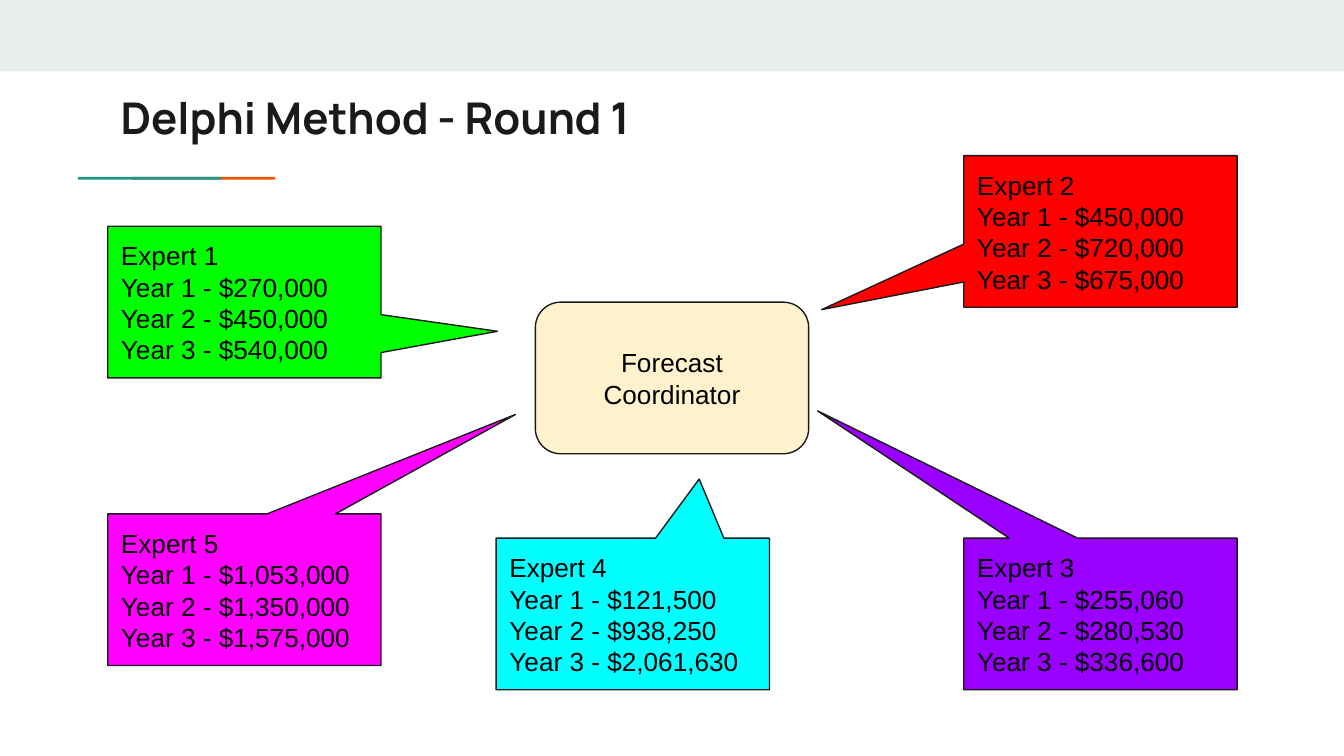
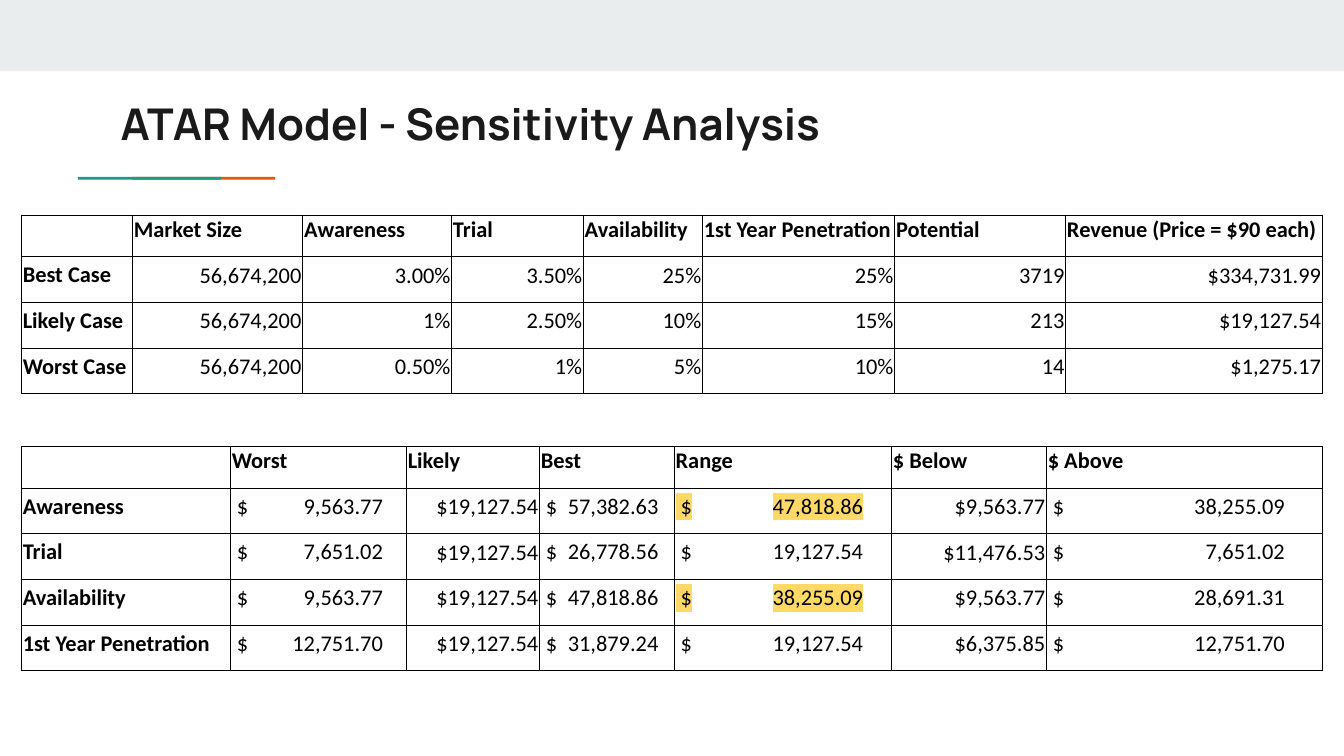
from lxml import etree
from pptx import Presentation
from pptx.dml.color import RGBColor
from pptx.enum.shapes import MSO_SHAPE
from pptx.enum.text import MSO_ANCHOR, PP_ALIGN
from pptx.oxml.ns import qn
from pptx.util import Pt

RECT = MSO_SHAPE.RECTANGLE
ROUND = MSO_SHAPE.ROUNDED_RECTANGLE
CALLOUT = MSO_SHAPE.RECTANGULAR_CALLOUT
TOP, MIDDLE, BOTTOM = MSO_ANCHOR.TOP, MSO_ANCHOR.MIDDLE, MSO_ANCHOR.BOTTOM
LEFT, CENTER, RIGHT = PP_ALIGN.LEFT, PP_ALIGN.CENTER, PP_ALIGN.RIGHT

COLORS = {
    "band": "E9EDEE", "teal": "1A9988", "orange": "EB5600", "ink": "1A1A1A",
    "black": "000000", "cream": "FFF2CC", "red": "FF0000", "violet": "9900FF",
    "cyan": "00FFFF", "green": "00FF00", "pink": "FF00FF", "mark": "FFD966",
}
INSET = 7.2


def add_box(slide, kind, place, fill, line=None):
    box = slide.shapes.add_shape(kind, *[Pt(v) for v in place])
    box.shadow.inherit = False
    box.fill.solid()
    box.fill.fore_color.rgb = RGBColor.from_string(COLORS[fill])
    if line:
        box.line.color.rgb = RGBColor.from_string(COLORS[line])
        box.line.width = Pt(0.75)
    else:
        box.line.fill.background()
    return box


def set_text(frame, text, font, size, color="black", bold=False, align=LEFT, anchor=TOP):
    frame.text = text
    frame.word_wrap = True
    frame.vertical_anchor = anchor
    frame.margin_left = frame.margin_right = Pt(INSET)
    frame.margin_top = frame.margin_bottom = Pt(INSET)
    for para in frame.paragraphs:
        para.alignment = align
        for run in para.runs:
            run.font.name = font
            run.font.size = Pt(size)
            run.font.bold = bold
            run.font.color.rgb = RGBColor.from_string(COLORS[color])


deck = Presentation()
deck.slide_width, deck.slide_height = Pt(720), Pt(405)

pages = []
for title, top in [("Delphi Method - Round 1", 41.2), ("ATAR Model - Sensitivity Analysis", 44.6)]:
    page = deck.slides.add_slide(deck.slide_layouts[6])
    add_box(page, RECT, (0, 0, 720, 38.2), "band")
    add_box(page, RECT, (70.8, 94.7, 76.6, 1.5), "orange")
    add_box(page, RECT, (41.8, 94.7, 76.6, 1.5), "teal")
    head = page.shapes.add_textbox(Pt(57.5), Pt(top), Pt(605.5), Pt(42.5))
    set_text(head.text_frame, title, "Manrope", 23.4, "ink", True)
    pages.append(page)
delphi, atar = pages

WIDE, HIGH = 146.4, 81.2
hub = add_box(delphi, ROUND, (286.8, 161.9, WIDE, HIGH), "cream", "ink")
set_text(hub.text_frame, "Forecast Coordinator", "Arial", 14, align=CENTER, anchor=MIDDLE)

experts = [
    (2, 516.3, 83.4, "red", (-1.02, 0.516), ("450,000", "720,000", "675,000")),
    (3, 516.3, 288.3, "violet", (-1.035, -1.34), ("255,060", "280,530", "336,600")),
    (4, 265.8, 288.3, "cyan", (0.243, -0.89), ("121,500", "938,250", "2,061,630")),
    (1, 57.7, 121.2, "green", (0.926, 0.193), ("270,000", "450,000", "540,000")),
    (5, 57.7, 275.3, "pink", (0.992, -1.156), ("1,053,000", "1,350,000", "1,575,000")),
]
for num, left, top, fill, tip, sums in experts:
    card = add_box(delphi, CALLOUT, (left, top, WIDE, HIGH), fill, "ink")
    card.adjustments[0], card.adjustments[1] = tip
    lines = [f"Expert {num}"] + [f"Year {i} - ${s}" for i, s in enumerate(sums, 1)]
    set_text(card.text_frame, "\n".join(lines), "Arial", 14)

cases = [
    ["", "Market Size", "Awareness", "Trial", "Availability", "1st Year Penetration",
     "Potential", "Revenue (Price = $90 each)"],
    ["Best Case", "56,674,200", "3.00%", "3.50%", "25%", "25%", "3719", "$334,731.99"],
    ["Likely Case", "56,674,200", "1%", "2.50%", "10%", "15%", "213", "$19,127.54"],
    ["Worst Case", "56,674,200", "0.50%", "1%", "5%", "10%", "14", "$1,275.17"],
]
ranges = [
    ["", "Worst", "Likely", "Best", "Range", "$ Below", "$ Above"],
    ["Awareness", "9,563.77", "$19,127.54", "57,382.63", "47,818.86", "$9,563.77", "38,255.09"],
    ["Trial", "7,651.02", "$19,127.54", "26,778.56", "19,127.54", "$11,476.53", "7,651.02"],
    ["Availability", "9,563.77", "$19,127.54", "47,818.86", "38,255.09", "$9,563.77", "28,691.31"],
    ["1st Year Penetration", "12,751.70", "$19,127.54", "31,879.24", "19,127.54", "$6,375.85",
     "12,751.70"],
]
tables = [
    (115.2, cases, [59.5, 91.2, 79.8, 70.6, 63.8, 103, 91.6, 137.5], {}, []),
    (239.2, ranges, [112, 94.3, 71.3, 72.2, 116.4, 83, 147.8],
     {1: 81, 3: 63, 4: 100.5, 6: 127}, [(1, 4), (3, 4)]),
]
for top, rows, wides, stops, marks in tables:
    grid = atar.shapes.add_table(len(rows), len(wides), Pt(11.5), Pt(top),
                                 Pt(sum(wides)), Pt(16 * len(rows))).table
    grid.first_row = grid.horz_banding = False
    for col, wide in zip(grid.columns, wides):
        col.width = Pt(wide)
    for r, row in enumerate(rows):
        grid.rows[r].height = Pt(16)
        for c, text in enumerate(row):
            cell = grid.cell(r, c)
            label = r == 0 or c == 0
            tabbed = not label and c in stops
            right = not label and not tabbed
            set_text(cell.text_frame, f" $\t{text}" if tabbed else text, "Calibri", 12,
                     bold=label, align=RIGHT if right else LEFT)
            cell.vertical_anchor = BOTTOM
            cell.margin_left = cell.margin_right = cell.margin_top = Pt(0.7)
            cell.margin_bottom = Pt(INSET)
            cell.fill.background()
            para = cell.text_frame.paragraphs[0]
            if right:
                para.line_spacing = 1.15
            if not text:
                etree.SubElement(para._p, qn("a:endParaRPr"), sz="1200")
            if tabbed:
                tabs = etree.SubElement(para._p.get_or_add_pPr(), qn("a:tabLst"))
                etree.SubElement(tabs, qn("a:tab"), pos=str(Pt(stops[c])), algn="r")
            if (r, c) in marks:
                props = para.runs[0]._r.get_or_add_rPr()
                glow = etree.Element(qn("a:highlight"))
                etree.SubElement(glow, qn("a:srgbClr"), val=COLORS["mark"])
                props.find(qn("a:latin")).addprevious(glow)
            props = cell._tc.get_or_add_tcPr()
            for i, side in enumerate(["lnL", "lnR", "lnT", "lnB"]):
                edge = etree.Element(qn(f"a:{side}"), w=str(Pt(0.5)))
                fill = etree.SubElement(edge, qn("a:solidFill"))
                etree.SubElement(fill, qn("a:srgbClr"), val=COLORS["black"])
                props.insert(i, edge)

deck.save("out.pptx")
